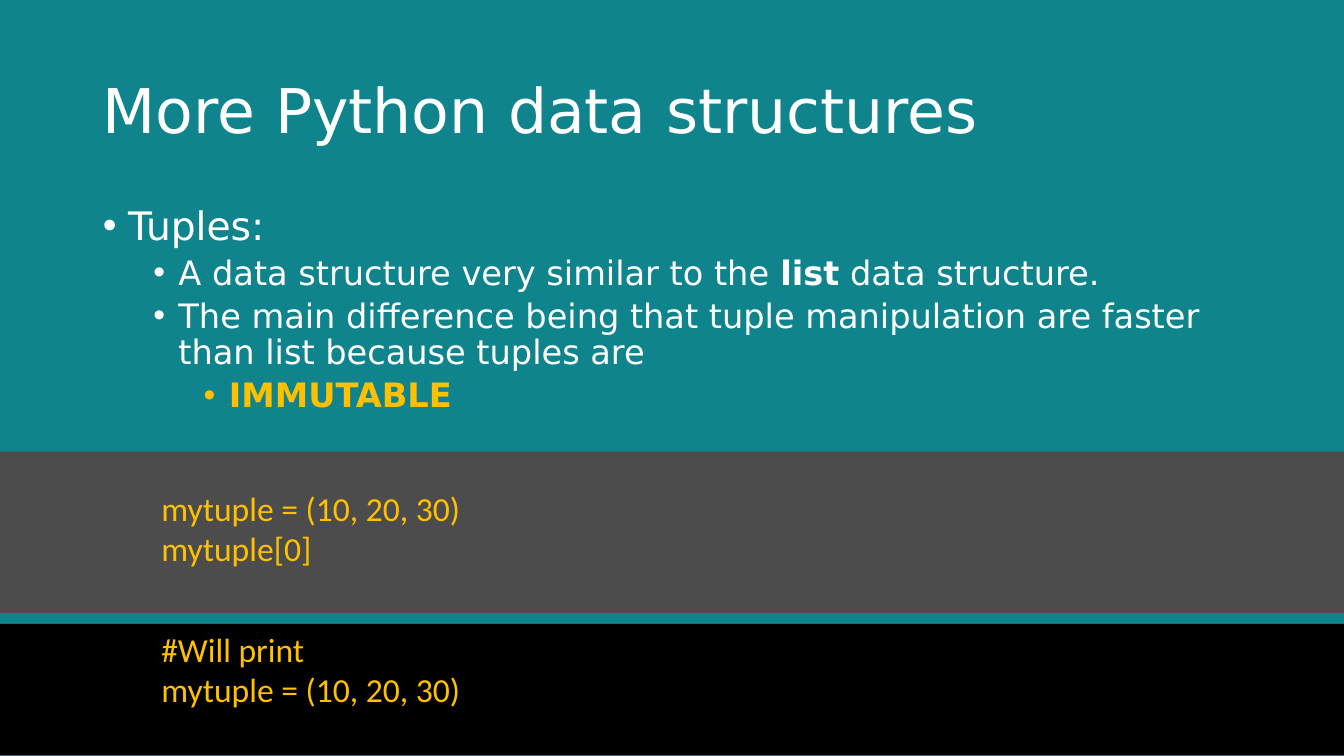
from dataclasses import dataclass

from lxml import etree
from pptx import Presentation
from pptx.dml.color import RGBColor
from pptx.enum import shapes, text
from pptx.oxml import ns
from pptx.util import Emu, Pt

PX = 9144  # EMU in one px, 100 px to the inch
TEAL = RGBColor(0x0F, 0x84, 0x8D)
WHITE = RGBColor(0xFF, 0xFF, 0xFF)
GOLD = RGBColor(0xFF, 0xC0, 0x00)
GREY = RGBColor(0x4C, 0x4C, 0x4C)
BLACK = RGBColor(0x00, 0x00, 0x00)
PROSE_FONT = "DejaVu Sans"
CODE_FONT = "Calibri"
PAGE_WIDTH, PAGE_HEIGHT = 1333, 750


@dataclass
class Bullet:
    spans: list[tuple[str, bool]]  # wording, bold
    level: int = 1
    size: int = 24
    color: RGBColor = WHITE


@dataclass
class Band:
    top: int
    height: int
    inset: int
    fill: RGBColor
    lines: list[str]


BULLETS = [
    Bullet([("Tuples:", False)], level=0, size=28),
    Bullet([("A data structure very similar to the ", False), ("list", True),
            (" data structure.", False)]),
    Bullet([("The main difference being that tuple manipulation are faster "
             "than list because tuples are", False)]),
    Bullet([("IMMUTABLE", True)], level=2, color=GOLD),
]
BANDS = [
    Band(448, 160, 36, GREY, ["mytuple = (10, 20, 30)", "mytuple[0]"]),
    Band(619, 130, 5, BLACK, ["#Will print", "mytuple = (10, 20, 30)"]),
]


def px(length: int) -> Emu:
    return Emu(length * PX)


def place(box, left: int, top: int, width: int, height: int) -> None:
    box.left, box.top, box.width, box.height = map(px, (left, top, width, height))


def add_span(para, wording: str, *, size: int, color: RGBColor,
             font: str = PROSE_FONT, bold: bool = False) -> None:
    span = para.add_run()
    span.text = wording
    span.font.name = font
    span.font.size = Pt(size)
    span.font.bold = bold
    span.font.color.rgb = color


def next_para(frame, index: int):
    return frame.paragraphs[0] if index == 0 else frame.add_paragraph()


def set_bullet(para, level: int, color: RGBColor) -> None:
    props = para._p.get_or_add_pPr()
    props.set("marL", str(px(25 + 50 * level)))
    props.set("indent", str(px(-25)))
    tint = etree.SubElement(props, ns.qn("a:buClr"))
    etree.SubElement(tint, ns.qn("a:srgbClr"), val=str(color))
    etree.SubElement(props, ns.qn("a:buChar"), char="•")


def fill_title(box) -> None:
    place(box, 92, 40, 1150, 145)
    frame = box.text_frame
    frame.auto_size = text.MSO_AUTO_SIZE.NONE
    frame.vertical_anchor = text.MSO_ANCHOR.MIDDLE
    para = frame.paragraphs[0]
    para.alignment = text.PP_ALIGN.LEFT
    para.line_spacing = 0.9
    add_span(para, "More Python data structures", size=44, color=WHITE)


def fill_body(box, bullets: list[Bullet]) -> None:
    place(box, 92, 200, 1150, 476)
    frame = box.text_frame
    frame.auto_size = text.MSO_AUTO_SIZE.NONE
    for index, bullet in enumerate(bullets):
        para = next_para(frame, index)
        para.level = bullet.level
        para.line_spacing = 0.9
        para.space_before = Pt(5 if index else 0)
        set_bullet(para, bullet.level, bullet.color)
        for wording, bold in bullet.spans:
            add_span(para, wording, size=bullet.size, color=bullet.color, bold=bold)


def add_band(page, band: Band) -> None:
    box = page.shapes.add_shape(shapes.MSO_SHAPE.RECTANGLE, 0, px(band.top),
                                px(PAGE_WIDTH), px(band.height))
    box.shadow.inherit = False
    box.fill.solid()
    box.fill.fore_color.rgb = band.fill
    box.line.fill.background()
    frame = box.text_frame
    frame.word_wrap = True
    frame.vertical_anchor = text.MSO_ANCHOR.TOP
    frame.margin_left = px(160)
    frame.margin_top = px(band.inset)
    for index, line in enumerate(band.lines):
        para = next_para(frame, index)
        para.alignment = text.PP_ALIGN.LEFT
        add_span(para, line, size=24, color=GOLD, font=CODE_FONT)


def main() -> None:
    deck = Presentation()
    deck.slide_width, deck.slide_height = px(PAGE_WIDTH), px(PAGE_HEIGHT)
    page = deck.slides.add_slide(deck.slide_layouts[1])
    page.background.fill.solid()
    page.background.fill.fore_color.rgb = TEAL

    # Title and list
    fill_title(page.shapes.title)
    fill_body(page.placeholders[1], BULLETS)

    # Code and its output
    for band in BANDS:
        add_band(page, band)

    deck.save("out.pptx")


if __name__ == "__main__":
    main()
